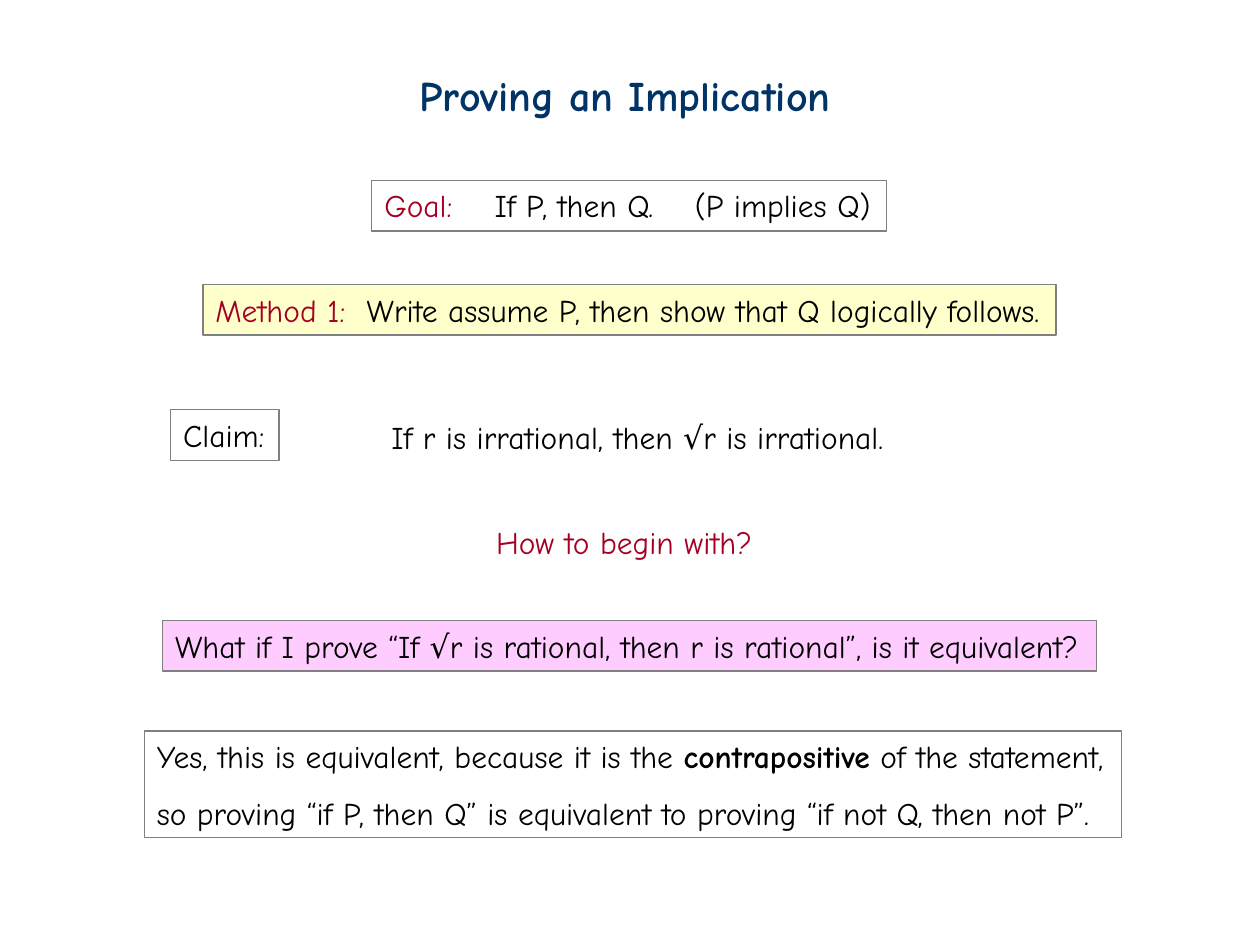
from dataclasses import dataclass

from lxml import etree
from pptx import Presentation
from pptx import util as u
from pptx.dml.color import RGBColor
from pptx.enum import shapes, text
from pptx.oxml.ns import qn

FONT = "Comic Neue"
NAVY, BLACK, RED, GRAY = "003366", "000000", "A50021", "808080"
YELLOW, PINK = "FFFFCC", "FFCCFF"
LINE_HEIGHT = 29


@dataclass
class Span:
    text: str
    color: str = BLACK
    bold: bool = False


@dataclass
class Statement:
    left: float
    top: float
    width: float
    lines: list[list[Span]]
    height: float = LINE_HEIGHT
    framed: bool = True
    fill: str | None = None
    tabs: tuple[float, ...] = ()


def rgb(color: str) -> RGBColor:
    return RGBColor.from_string(color)


def format_run(run, span: Span, size: float) -> None:
    run.font.name = FONT
    run.font.size = u.Pt(size)
    run.font.bold = span.bold
    run.font.color.rgb = rgb(span.color)


def prepare_frame(frame) -> None:
    frame.word_wrap = False
    frame.auto_size = text.MSO_AUTO_SIZE.SHAPE_TO_FIT_TEXT
    frame.vertical_anchor = text.MSO_ANCHOR.TOP


def add_tab_stops(para, positions: tuple[float, ...]) -> None:
    tab_list = etree.SubElement(para._p.get_or_add_pPr(), qn("a:tabLst"))
    for position in positions:
        etree.SubElement(tab_list, qn("a:tab"), pos=str(u.Pt(position)), algn="l")


def add_statement(page, item: Statement) -> None:
    place = [u.Pt(v) for v in (item.left, item.top, item.width, item.height)]
    if item.framed:
        box = page.shapes.add_shape(shapes.MSO_SHAPE.RECTANGLE, *place)
        box.shadow.inherit = False
        box.line.color.rgb = rgb(GRAY)
        box.line.width = u.Pt(0.75)
        if item.fill:
            box.fill.solid()
            box.fill.fore_color.rgb = rgb(item.fill)
        else:
            box.fill.background()
    else:
        box = page.shapes.add_textbox(*place)

    frame = box.text_frame
    prepare_frame(frame)
    for index, spans in enumerate(item.lines):
        para = frame.add_paragraph() if index else frame.paragraphs[0]
        para.alignment = text.PP_ALIGN.LEFT
        if index:
            para.line_spacing = 1.5
        if item.tabs:
            add_tab_stops(para, item.tabs)
        for span in spans:
            run = para.add_run()
            run.text = span.text
            format_run(run, span, 18)


def add_title(page, title: Span) -> None:
    box = page.shapes.title
    box.left, box.top, box.width, box.height = map(u.Pt, (232.5, 36, 250, 36))
    frame = box.text_frame
    frame.text = title.text
    prepare_frame(frame)
    para = frame.paragraphs[0]
    para.alignment = text.PP_ALIGN.LEFT
    format_run(para.runs[0], title, 24)


STATEMENTS = [
    # Goal and method
    Statement(212.5, 103, 294, tabs=(63, 177.5), lines=[
        [Span("Goal:", RED), Span("\tIf P, then Q.\t(P implies Q)")]]),
    Statement(116, 162.5, 487.5, fill=YELLOW, tabs=(86.5,), lines=[
        [Span("Method 1:", RED),
         Span("\tWrite assume P, then show that Q logically follows.")]]),
    # Claim and question
    Statement(97.5, 234, 62, [[Span("Claim:")]]),
    Statement(216.5, 235.5, 297.5, framed=False, lines=[
        [Span("If r is irrational, then √r is irrational.")]]),
    Statement(276.5, 295.2, 161, [[Span("How to begin with?", RED)]], framed=False),
    # Contrapositive
    Statement(93, 354.5, 533.5, fill=PINK, lines=[
        [Span("What if I prove “If √r is rational, then r is rational”, "
              "is it equivalent?")]]),
    Statement(82.5, 417.8, 558.5, height=61, lines=[
        [Span("Yes, this is equivalent, because it is the "),
         Span("contrapositive", bold=True), Span(" of the statement,")],
        [Span("so proving “if P, then Q” is equivalent to proving "
              "“if not Q, then not P”.")]]),
]


def main() -> None:
    deck = Presentation()
    deck.slide_width, deck.slide_height = u.Pt(720), u.Pt(540)
    page = deck.slides.add_slide(deck.slide_layouts[5])
    add_title(page, Span("Proving an Implication", NAVY, bold=True))
    for item in STATEMENTS:
        add_statement(page, item)
    deck.save("out.pptx")


if __name__ == "__main__":
    main()
